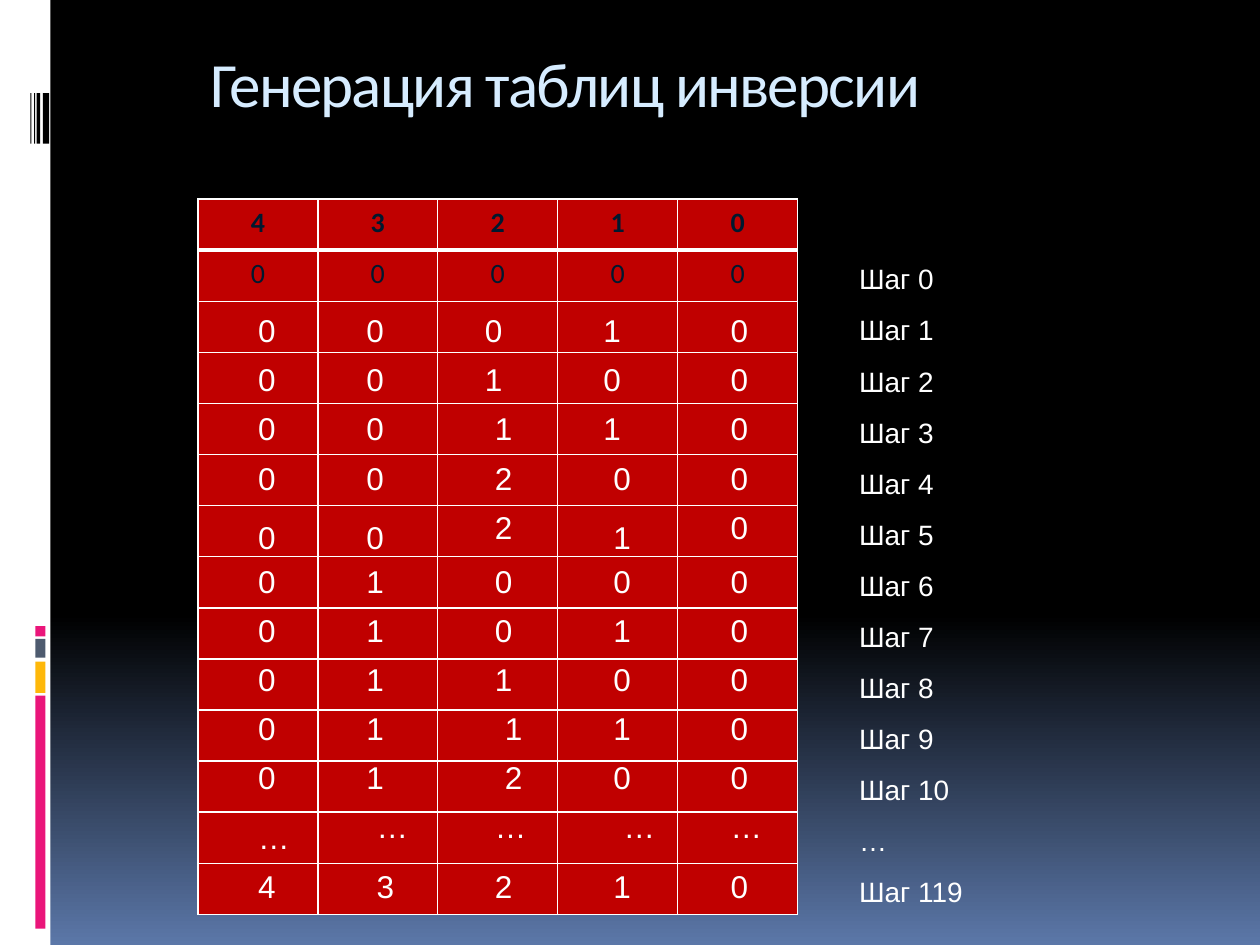
from dataclasses import dataclass

from lxml import etree
from pptx import Presentation
from pptx.dml.color import RGBColor
from pptx.enum.shapes import MSO_SHAPE
from pptx.enum.text import MSO_ANCHOR, MSO_AUTO_SIZE, PP_ALIGN
from pptx.oxml.ns import qn
from pptx.util import Inches, Pt

RECT = MSO_SHAPE.RECTANGLE
TOP = MSO_ANCHOR.TOP
NONE, GROW = MSO_AUTO_SIZE.NONE, MSO_AUTO_SIZE.SHAPE_TO_FIT_TEXT
LEFT, CENTER = PP_ALIGN.LEFT, PP_ALIGN.CENTER


@dataclass(frozen=True)
class Theme:
    white: str = "FFFFFF"
    black: str = "000000"
    blue: str = "5B77A8"
    pink: str = "EA157A"
    amber: str = "FEB80A"
    slate: str = "4E5B6F"
    title: str = "D6ECFF"
    red: str = "C00000"
    ink: str = "00192F"
    head: str = "Calibri"
    body: str = "Arial"
    big: int = 36
    mid: int = 18
    small: int = 16


T = Theme()
WIDE, HIGH = 10, 7.5

# Left edge, top, width, height, colour
BARS = [
    (0, 0, 0.4, HIGH, T.white),
    (0.28, 5.52, 0.08, 1.85, T.pink),
    (0.28, 5.25, 0.08, 0.25, T.amber),
    (0.28, 5.07, 0.08, 0.15, T.slate),
    (0.28, 4.97, 0.08, 0.08, T.pink),
] + [(x, 0.74, w, 0.4, T.black)
     for x, w in ((0.34, 0.05), (0.29, 0.03), (0.27, 0.01), (0.24, 0.01))]

GRID = (1.57, 1.58, 4.76, 5.68)
ROWS, COLS = 14, 5
HEAD = ["43210", "00000"]
DIGITS = ["00010", "00100", "00110", "00200", "00210", "01000", "01010",
          "01100", "01110", "01200", "…" * COLS, "43210"]

# Handwritten look: each digit stands on a loose grid, some moved by one nudge
LEFTS = [1.95, 2.81, 3.83, 4.77, 5.7]
FIRST, PITCH, NUDGE = 2.42, 0.39, 0.08
LOWER = 5          # from this row on, the digits stand one nudge lower
SIDE = {(0, 2): -1, (1, 2): -1, (0, 3): -1, (1, 3): -1, (2, 3): -1,
        (8, 2): 1, (9, 2): 1, (10, 1): 1, (10, 3): 1, (11, 1): 1}
DROP = {(4, 0): 1, (4, 1): 1, (4, 3): 1, (10, 0): 1}


def rgb(code):
    return RGBColor.from_string(code)


def style(para, size, color, font, bold=False):
    for run in para.runs:
        run.font.size, run.font.name, run.font.bold = Pt(size), font, bold
        run.font.color.rgb = rgb(color)


def paint(slide):
    fill = slide.background.fill
    fill.gradient()
    fill.gradient_angle = 270
    for stop, place, color in zip(fill.gradient_stops, (0.65, 1),
                                  (T.black, T.blue)):
        stop.position = place
        stop.color.rgb = rgb(color)


def add_bar(slide, left, top, wide, high, color):
    bar = slide.shapes.add_shape(RECT, *map(Inches, (left, top, wide, high)))
    bar.shadow.inherit = False
    bar.fill.solid()
    bar.fill.fore_color.rgb = rgb(color)
    bar.line.fill.background()


def add_title(slide, text):
    title = slide.shapes.title
    title.left, title.top = Inches(1.57), Inches(0.3)
    title.width, title.height = Inches(8.2), Inches(0.4)
    frame = title.text_frame
    frame.text = text
    frame.auto_size, frame.vertical_anchor = NONE, TOP
    para = frame.paragraphs[0]
    para.alignment = LEFT
    style(para, T.big, T.title, T.head)
    para.runs[0].font._element.set("spc", "-100")


def add_edge(cell, side, width):
    line = etree.SubElement(cell._tc.get_or_add_tcPr(), qn("a:ln" + side),
                            w=str(Pt(width)))
    fill = etree.SubElement(line, qn("a:solidFill"))
    etree.SubElement(fill, qn("a:srgbClr"), val=T.white)


def add_grid(slide):
    table = slide.shapes.add_table(ROWS, COLS, *map(Inches, GRID)).table
    table.horz_banding = False
    for row in range(ROWS):
        for col in range(COLS):
            cell = table.cell(row, col)
            for side in "LRTB":
                thick = (row, side) in ((0, "B"), (1, "T"))
                add_edge(cell, side, 3 if thick else 1)
            cell.fill.solid()
            cell.fill.fore_color.rgb = rgb(T.red)
            if row < len(HEAD):
                cell.text = HEAD[row][col]
                para = cell.text_frame.paragraphs[0]
                para.alignment = CENTER
                style(para, T.small, T.ink, T.head, row == 0)


def add_text(slide, box, lines, size, wrap=False, gap=0):
    frame = slide.shapes.add_textbox(*map(Inches, box)).text_frame
    frame.word_wrap, frame.auto_size = wrap, GROW
    frame.text = "\n".join(lines)
    for para in frame.paragraphs:
        para.space_before = para.space_after = Pt(gap)
        style(para, size, T.white, T.body)


def add_digits(slide):
    for row, line in enumerate(DIGITS):
        base = FIRST + row * PITCH + NUDGE * (row >= LOWER)
        if row == len(DIGITS) - 1:
            base += NUDGE
        if row >= LOWER:
            base -= 0.04
        for col, mark in enumerate(line):
            left = LEFTS[col] + NUDGE * SIDE.get((row, col), 0)
            top = base + NUDGE * DROP.get((row, col), 0)
            wide = 0.45 if mark == "…" else 0.34
            add_text(slide, (left, top, wide, 0.4), [mark], T.mid)


def main():
    deck = Presentation()
    deck.slide_width, deck.slide_height = Inches(WIDE), Inches(HIGH)
    slide = deck.slides.add_slide(deck.slide_layouts[5])
    paint(slide)
    for bar in BARS:
        add_bar(slide, *bar)
    add_title(slide, "Генерация таблиц инверсии")
    add_grid(slide)
    add_digits(slide)
    steps = [f"Шаг {n}" for n in range(11)] + ["…", "Шаг 119"]
    add_text(slide, (6.72, 2.03, 1.09, 5.62), steps, T.small, True, 5)
    deck.save("out.pptx")


if __name__ == "__main__":
    main()
